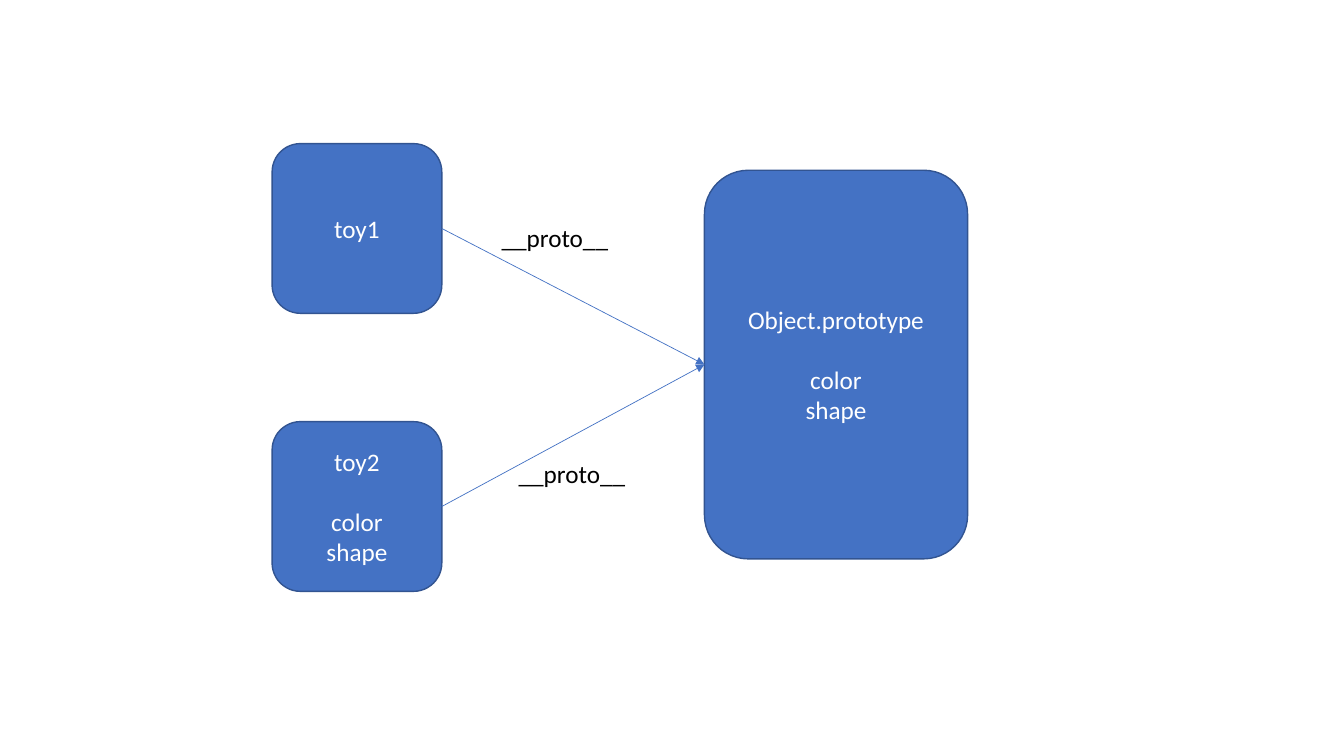
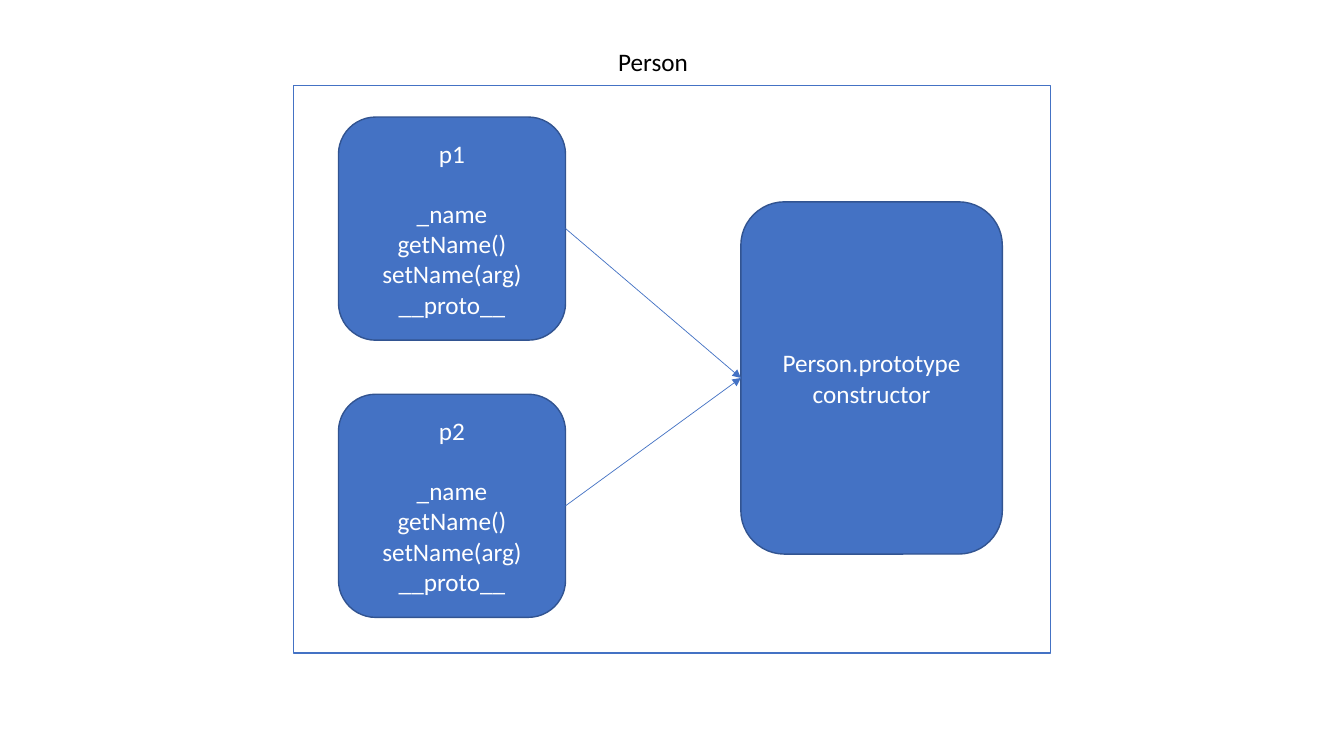
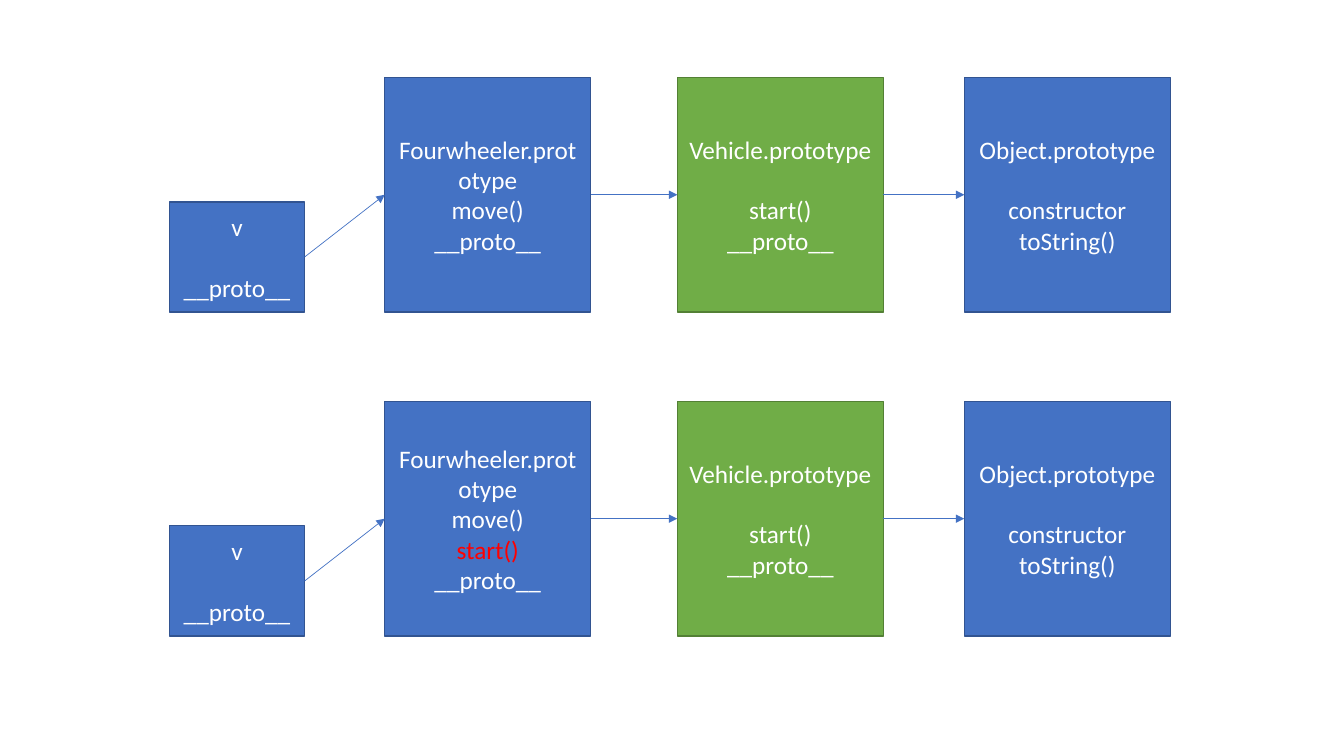
from pptx import Presentation
from pptx.dml.color import RGBColor
from pptx.enum.shapes import MSO_CONNECTOR, MSO_SHAPE
from pptx.enum.text import MSO_ANCHOR, PP_ALIGN
from pptx.oxml.ns import qn
from pptx.util import Pt
from lxml.etree import SubElement

COLORS = {
    "blue": "4472C4",
    "blue_edge": "325491",
    "green": "70AD47",
    "green_edge": "538035",
    "white": "FFFFFF",
    "black": "000000",
    "red": "FF0000",
}
FONT = "Calibri"
FONT_SIZE = 18
TITLE_GAP = 21.5
LEFT_SITE, RIGHT_SITE = 1, 3


def rgb(color):
    return RGBColor.from_string(COLORS[color])


def write(frame, text, color="white", align=PP_ALIGN.CENTER, gap=0, highlight=None):
    for index, line in enumerate(text.split("\n")):
        paragraph = frame.add_paragraph() if index else frame.paragraphs[0]
        paragraph.alignment = align
        paragraph.space_after = Pt(0 if index else gap)
        run = paragraph.add_run()
        run.text = line
        run.font.name = FONT
        run.font.size = Pt(FONT_SIZE)
        run.font.color.rgb = rgb("red" if line == highlight else color)


def add_box(slide, bounds, text="", kind=MSO_SHAPE.RECTANGLE, fill="blue",
            edge="blue_edge", **text_format):
    box = slide.shapes.add_shape(kind, *map(Pt, bounds))
    box.shadow.inherit = False
    box.fill.solid()
    box.fill.fore_color.rgb = rgb(fill)
    box.line.color.rgb = rgb(edge)
    box.line.width = Pt(1)
    if text:
        box.text_frame.word_wrap = True
        box.text_frame.vertical_anchor = MSO_ANCHOR.MIDDLE
        write(box.text_frame, text, **text_format)
    return box


def add_rounded(slide, bounds, text, **text_format):
    return add_box(slide, bounds, text, MSO_SHAPE.ROUNDED_RECTANGLE, **text_format)


def add_label(slide, bounds, text, **text_format):
    label = slide.shapes.add_textbox(*map(Pt, bounds))
    label.text_frame.word_wrap = False
    write(label.text_frame, text, color="black", **text_format)


def add_arrow(slide, source, target):
    arrow = slide.shapes.add_connector(MSO_CONNECTOR.STRAIGHT, 0, 0, 0, 0)
    arrow.begin_connect(source, RIGHT_SITE)
    arrow.end_connect(target, LEFT_SITE)
    arrow.line.color.rgb = rgb("blue")
    arrow.line.width = Pt(0.5)
    SubElement(arrow.line._get_or_add_ln(), qn("a:tailEnd"), type="triangle")
    SubElement(arrow._element.spPr, qn("a:effectLst"))


def build_toys(slide):
    left, size = 194.4, 121.2
    toys = [
        add_rounded(slide, (left, 102.6, size, size), "toy1"),
        add_rounded(slide, (left, 301.2, size, size), "toy2\ncolor\nshape", gap=TITLE_GAP),
    ]
    prototype = add_rounded(slide, (503.2, 121.6, 188, 277.6),
                            "Object.prototype\ncolor\nshape", gap=TITLE_GAP)
    for toy in toys:
        add_arrow(slide, toy, prototype)
    for x, y in ((351.2, 155.6), (363.4, 324)):
        add_label(slide, (x, y, 91.4, 29), "__proto__", align=PP_ALIGN.LEFT)


def build_person(slide):
    add_box(slide, (209.6, 61.2, 540.8, 405.2), fill="white", edge="blue")
    members = "_name\ngetName()\nsetName(arg)\n__proto__"
    people = [
        add_rounded(slide, (241.8, top, 162.2, 159.4), f"{person}\n{members}", gap=TITLE_GAP)
        for person, top in (("p1", 83.6), ("p2", 281.6))
    ]
    prototype = add_rounded(slide, (529.2, 144.2, 186.8, 251.6),
                            "Person.prototype\nconstructor")
    for person in people:
        add_arrow(slide, person, prototype)
    add_label(slide, (434, 29.4, 65, 29), "Person")


def build_chain(slide, top, wheeler_members):
    width, height = 147.2, 167.4
    instance = add_box(slide, (121, top + 88.8, 96.6, 78.8), "v\n__proto__", gap=TITLE_GAP)
    wheeler = add_box(slide, (274.8, top, width, height),
                      f"Fourwheeler.prototype\n{wheeler_members}", highlight="start()")
    vehicle = add_box(slide, (483.8, top, width, height),
                      "Vehicle.prototype\nstart()\n__proto__",
                      fill="green", edge="green_edge", gap=TITLE_GAP)
    root = add_box(slide, (688.8, top, width, height),
                   "Object.prototype\nconstructor\ntoString()", gap=TITLE_GAP)
    chain = [instance, wheeler, vehicle, root]
    for source, target in zip(chain, chain[1:]):
        add_arrow(slide, source, target)


def build_vehicles(slide):
    build_chain(slide, 55.4, "move()\n__proto__")
    build_chain(slide, 286.8, "move()\nstart()\n__proto__")


def main():
    deck = Presentation()
    deck.slide_width, deck.slide_height = Pt(960), Pt(540)
    for build in (build_toys, build_person, build_vehicles):
        build(deck.slides.add_slide(deck.slide_layouts[6]))
    deck.save("out.pptx")


if __name__ == "__main__":
    main()
